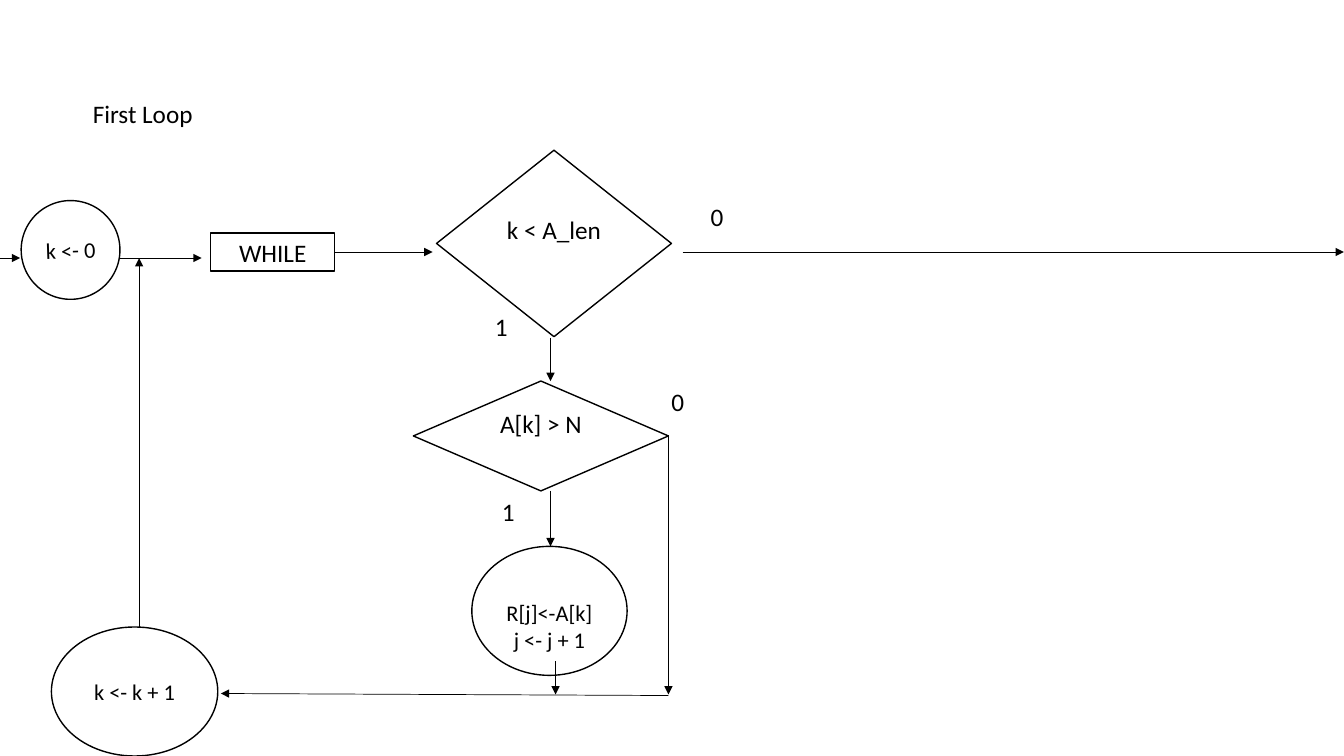
from dataclasses import dataclass

from lxml.etree import SubElement
from pptx import Presentation
from pptx.dml.color import RGBColor
from pptx.enum.shapes import MSO_CONNECTOR, MSO_SHAPE
from pptx.enum.text import MSO_ANCHOR, MSO_AUTO_SIZE, PP_ALIGN
from pptx.oxml.ns import qn
from pptx.util import Inches, Pt


@dataclass
class Theme:
    font: str = "Calibri"
    ink: RGBColor = RGBColor(0, 0, 0)
    paper: RGBColor = RGBColor(255, 255, 255)
    text_size: int = 18
    step_size: int = 16
    outline: float = 1
    arrow: float = 0.5


class Flowchart:
    def __init__(self, slide, theme):
        self.slide = slide
        self.theme = theme

    def set_text(self, text_frame, text, size, align):
        text_frame.text = text
        for paragraph in text_frame.paragraphs:
            paragraph.alignment = align
            for run in paragraph.runs:
                run.font.name = self.theme.font
                run.font.size = Pt(size)
                run.font.color.rgb = self.theme.ink

    def title(self, text, left, top, width, height):
        shape = self.slide.shapes.title
        shape.left, shape.top = Inches(left), Inches(top)
        shape.width, shape.height = Inches(width), Inches(height)
        frame = shape.text_frame
        frame.auto_size = MSO_AUTO_SIZE.NONE
        frame.vertical_anchor = MSO_ANCHOR.MIDDLE
        frame.margin_left = frame.margin_right = 0
        frame.margin_top = frame.margin_bottom = 0
        self.set_text(frame, text, self.theme.text_size, PP_ALIGN.LEFT)

    def node(self, kind, text, left, top, width, height, size, text_top=None):
        """Draw an outlined step; text_top sets text below the top, else it is centred."""
        shape = self.slide.shapes.add_shape(
            kind, Inches(left), Inches(top), Inches(width), Inches(height))
        shape.shadow.inherit = False
        shape.fill.solid()
        shape.fill.fore_color.rgb = self.theme.paper
        shape.line.color.rgb = self.theme.ink
        shape.line.width = Pt(self.theme.outline)
        frame = shape.text_frame
        frame.word_wrap = False
        frame.vertical_anchor = MSO_ANCHOR.MIDDLE
        if text_top is not None:
            frame.vertical_anchor = MSO_ANCHOR.TOP
            frame.margin_top, frame.margin_bottom = Inches(text_top), 0
        self.set_text(frame, text, size, PP_ALIGN.CENTER)
        return shape

    def label(self, text, left, top):
        box = self.slide.shapes.add_textbox(
            Inches(left), Inches(top), Inches(0.26), Inches(0.4))
        box.text_frame.word_wrap = False
        self.set_text(box.text_frame, text, self.theme.text_size, PP_ALIGN.LEFT)

    def arrow(self, x1, y1, x2, y2):
        connector = self.slide.shapes.add_connector(
            MSO_CONNECTOR.STRAIGHT, Inches(x1), Inches(y1), Inches(x2), Inches(y2))
        connector.line.color.rgb = self.theme.ink
        connector.line.width = Pt(self.theme.arrow)
        properties = connector.element.spPr
        SubElement(properties.find(qn("a:ln")), qn("a:tailEnd"), type="triangle")
        SubElement(properties, qn("a:effectLst"))


def main():
    presentation = Presentation()
    presentation.slide_width = Inches(13.33)
    presentation.slide_height = Inches(7.5)
    slide = presentation.slides.add_slide(presentation.slide_layouts[5])
    theme = Theme()
    chart = Flowchart(slide, theme)
    chart.title("First Loop", 0.92, 0.4, 11.5, 1.45)

    # Loop head and conditions
    chart.node(MSO_SHAPE.RECTANGLE, "WHILE", 2.09, 2.31, 1.23, 0.38, theme.text_size)
    chart.node(MSO_SHAPE.FLOWCHART_DECISION, "k < A_len",
               4.33, 1.49, 2.33, 1.85, theme.text_size, 0.17)
    chart.node(MSO_SHAPE.FLOWCHART_DECISION, "A[k] > N",
               4.1, 3.78, 2.53, 1.09, theme.text_size, 0)

    # Assignments
    chart.node(MSO_SHAPE.OVAL, "R[j]<-A[k]\nj <- j + 1",
               4.68, 5.42, 1.54, 1.28, theme.step_size, 0.34)
    chart.node(MSO_SHAPE.OVAL, "k <- k + 1", 0.51, 6.22, 1.65, 1.28, theme.step_size)
    start = chart.node(MSO_SHAPE.OVAL, "k <- 0", 0.21, 1.99, 0.98, 0.98, theme.step_size)
    start.rotation = 358

    # Branch labels
    for text, left, top in (("0", 6.95, 1.95), ("1", 4.81, 3.04),
                            ("0", 6.56, 3.78), ("1", 4.88, 4.87)):
        chart.label(text, left, top)

    # Arrows
    for ends in (
        (0, 2.56, 0.2, 2.56),        # into the start
        (1.18, 2.56, 2, 2.56),       # start to WHILE
        (3.32, 2.5, 4.29, 2.5),      # WHILE to first condition
        (6.77, 2.5, 13.33, 2.5),     # loop exit
        (5.46, 3.35, 5.46, 3.78),    # first to second condition
        (5.46, 4.87, 5.46, 5.42),    # second condition to assignment
        (6.63, 4.32, 6.63, 6.89),    # skip the assignment
        (5.51, 6.56, 5.51, 6.89),    # assignment to return line
        (6.63, 6.9, 2.19, 6.88),     # return line to increment
        (1.38, 6.22, 1.38, 2.56),    # increment back to loop head
    ):
        chart.arrow(*ends)

    presentation.save("out.pptx")


if __name__ == "__main__":
    main()
